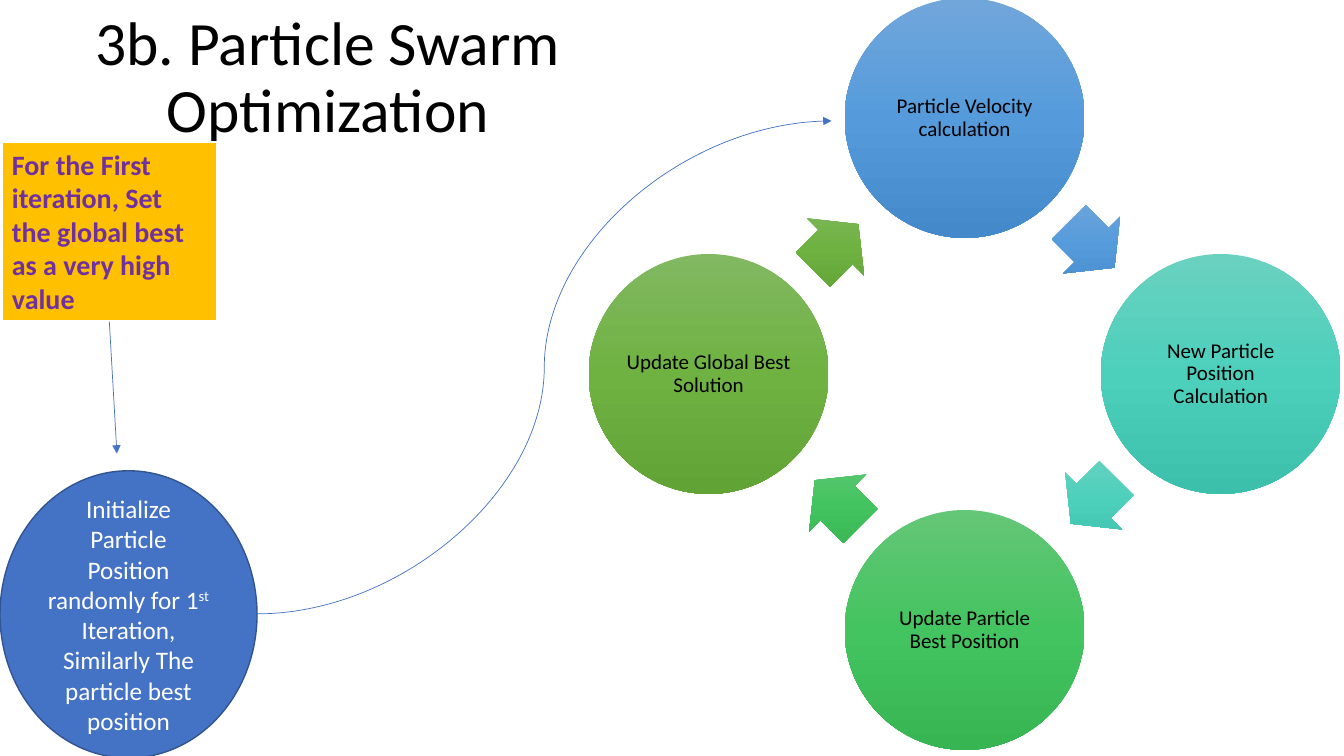
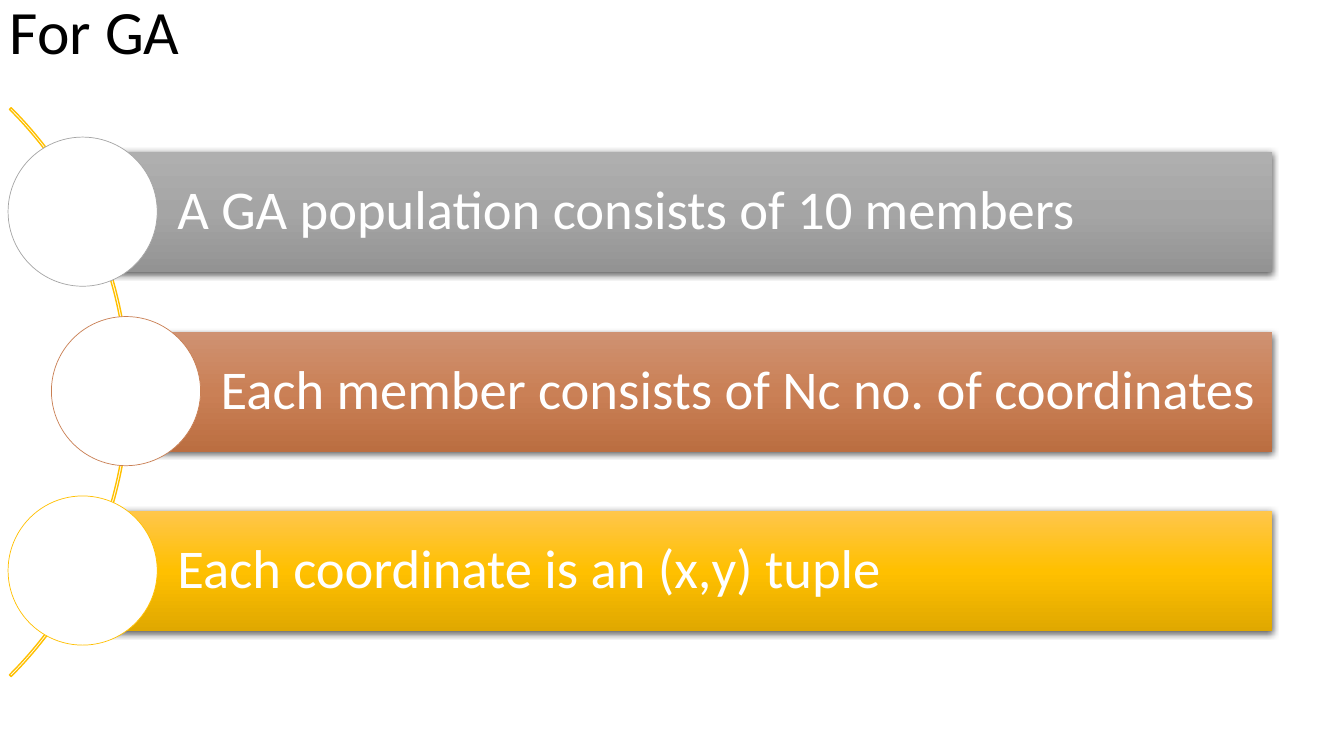
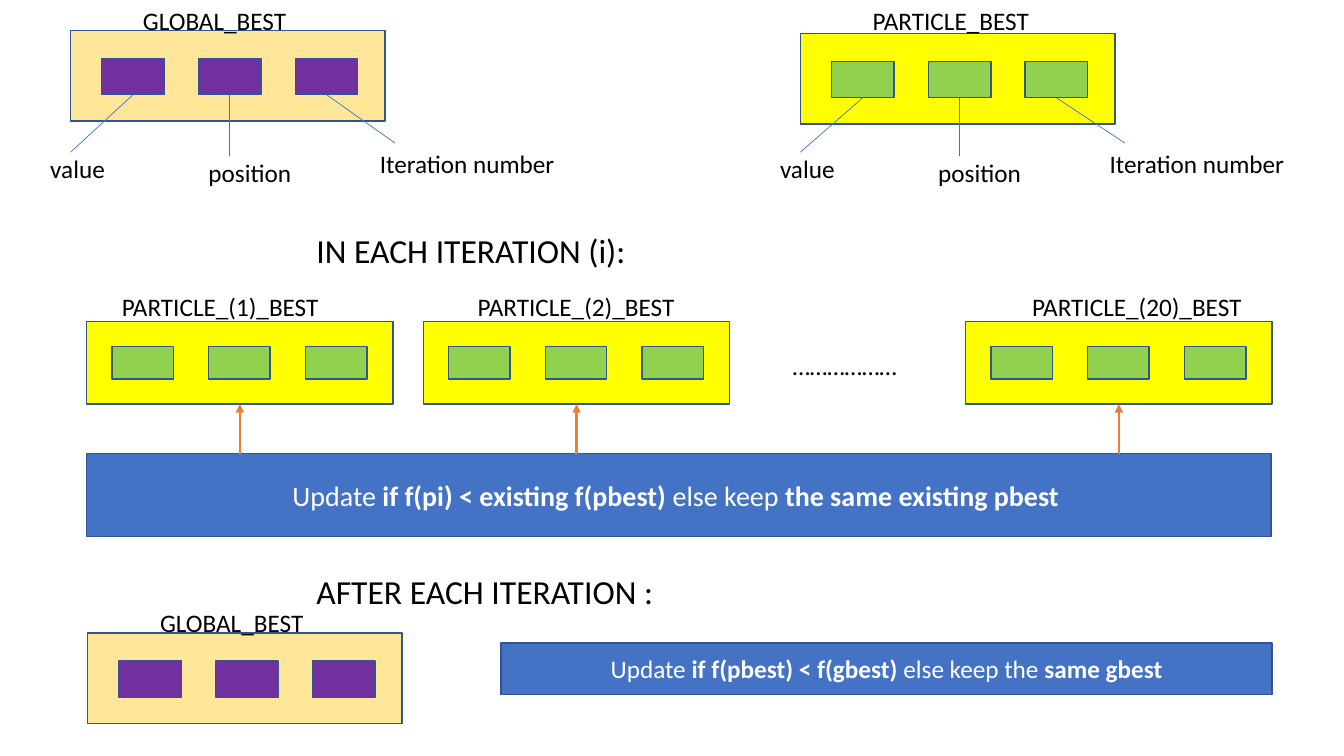
from copy import deepcopy

from pptx import Presentation
from pptx.dml.color import RGBColor
from pptx.enum.shapes import MSO_CONNECTOR, MSO_SHAPE
from pptx.enum.text import MSO_ANCHOR, PP_ALIGN
from pptx.oxml import parse_xml
from pptx.oxml.ns import nsdecls, qn
from pptx.util import Pt

# Shared look: 100 px to the inch
PX = 9144
FONT = "Calibri"
BLACK, WHITE = "000000", "FFFFFF"
BLUE, OUTLINE, ORANGE = "4472C4", "325491", "ED7D31"
YELLOW, GREEN, SAND, PURPLE, GOLD = "FFFF00", "92D050", "FFE699", "7030A0", "FFC000"
MIDDLE = {"vertical_anchor": MSO_ANCHOR.MIDDLE}
BOLD = {"bold": True}

color = RGBColor.from_string


def put(slide, kind, box, fill=None, line=None, width=1):
    """Add a shape, or a text box when kind is None; three fills make a gradient."""
    left, top, wide, high = [value * PX for value in box]
    if kind is None:
        shape = slide.shapes.add_textbox(left, top, wide, high)
        shape.text_frame.word_wrap = True
        return shape
    shape = slide.shapes.add_shape(kind, left, top, wide, high)
    shape.shadow.inherit = False
    if fill is None:
        shape.fill.background()
    elif isinstance(fill, str):
        shape.fill.solid()
        shape.fill.fore_color.rgb = color(fill)
    else:
        shape.fill.gradient()
        shape.fill.gradient_angle = 270
        gradient = shape.element.spPr.find(qn("a:gradFill"))
        gradient.set("rotWithShape", "0")
        stop_list = gradient.find(qn("a:gsLst"))
        stop_list.insert(1, deepcopy(stop_list[0]))
        for stop, hue, position in zip(shape.fill.gradient_stops, fill, (0, 0.5, 1)):
            stop.color.rgb = color(hue)
            stop.position = position
    if line:
        shape.line.color.rgb = color(line)
        shape.line.width = Pt(width)
    else:
        shape.line.fill.background()
    return shape


def write(shape, runs, size, hue=BLACK, align=PP_ALIGN.LEFT, spacing=1.0, frame=None):
    """Fill a shape with one paragraph; runs are (text, font values) pairs or a string."""
    for name, value in (frame or {}).items():
        setattr(shape.text_frame, name, value)
    paragraph = shape.text_frame.paragraphs[0]
    paragraph.alignment = align
    paragraph.line_spacing = spacing
    for text, values in [(runs, {})] if isinstance(runs, str) else runs:
        run = paragraph.add_run()
        run.text = text
        run.font.color.rgb = color(hue)
        for name, value in {"name": FONT, "size": Pt(size), **values}.items():
            setattr(run.font, name, value)
    return paragraph


deck = Presentation()
deck.slide_width, deck.slide_height = 12192000, 750 * PX
swarm, genetic, records = [deck.slides.add_slide(deck.slide_layouts[6]) for _ in range(3)]

# Connectors are collected here and drawn at the end:
# slide, kind, start, end, colour, width, arrowhead, start shape, end shape
links = []

# Titles
for slide, title, box, align in [
    (swarm, "3b. Particle Swarm Optimization", (2, 6, 647, 145), PP_ALIGN.CENTER),
    (genetic, "For GA", (0, -38, 1150, 145), PP_ALIGN.LEFT),
]:
    write(put(slide, None, box), title, 44, align=align, spacing=0.9, frame=MIDDLE)

# Slide 1: cycle of four steps, each a quarter turn after the last
center_x, center_y, diameter = 957, 371, 238
step_x, step_y = 0, -254
arrow_x, arrow_y = 126, -128
tight = {f"margin_{side}": 2 * PX for side in ("left", "right", "top", "bottom")}
steps = [
    ("Particle Velocity calculation", ("71A6DB", "559BDB", "448ACA")),
    ("New Particle Position Calculation", ("6AD1C0", "4CD0BC", "3CC0AC")),
    ("Update Particle Best Position", ("64C677", "44C460", "36B552")),
    ("Update Global Best Solution", ("81B861", "6FB242", "62A336")),
]
for turn, (step, shades) in enumerate(steps):
    circle = put(swarm, MSO_SHAPE.OVAL, (center_x + step_x - diameter // 2,
                 center_y + step_y - diameter // 2, diameter, diameter), shades)
    write(circle, step, 15, align=PP_ALIGN.CENTER, spacing=0.9, frame={**MIDDLE, **tight})
    arrow = put(swarm, MSO_SHAPE.RIGHT_ARROW,
                (center_x + arrow_x - 32, center_y + arrow_y - 40, 64, 80), shades)
    arrow.adjustments[0] = 0.6
    arrow.rotation = 45 + 90 * turn
    step_x, step_y = -step_y, step_x
    arrow_x, arrow_y = -arrow_y, arrow_x

# Slide 1: start of the search
first_best = put(swarm, MSO_SHAPE.RECTANGLE, (2, 141, 213, 178), GOLD, WHITE, 1.5)
write(first_best, [("For the First iteration, Set the global best as a very high value", BOLD)],
      20, PURPLE, frame={"vertical_anchor": MSO_ANCHOR.TOP})
initialize = put(swarm, MSO_SHAPE.OVAL, (0, 467, 255, 285), BLUE, OUTLINE)
sentence = write(initialize, [("Initialize Particle Position randomly for 1", {}), ("st", {}),
                 (" Iteration, Similarly The particle best position", {})],
                 18, WHITE, PP_ALIGN.CENTER, frame=MIDDLE)
sentence.runs[1].font._element.set("baseline", "30000")
links += [
    (swarm, MSO_CONNECTOR.STRAIGHT, (108, 319), (116, 450), BLUE, 0.5, True, first_best, None),
    (swarm, MSO_CONNECTOR.CURVE, (255, 609), (825, 120), BLUE, 0.5, True, None, None),
]

# Slide 2: arc with three facts
arc = put(genetic, MSO_SHAPE.BLOCK_ARC, (-670, -10, 798, 798), None, GOLD)
for index, value in enumerate((189, 27, 0.003)):
    arc.adjustments[index] = value
fact_margins = {"margin_left": 94 * PX, "margin_right": 11 * PX,
                "margin_top": 11 * PX, "margin_bottom": 11 * PX}
facts = [
    ("A GA population consists of 10 members", 82, ("AFAFAF", "A5A5A5", "939393"), "A5A5A5"),
    ("Each member consists of Nc no. of coordinates", 125,
     ("CF9272", "CA8056", "BB6E41"), "C97F53"),
    ("Each coordinate is an (x,y) tuple", 82, ("FFC64B", "FFC000", "E0A800"), GOLD),
]
for row, (fact, left, shades, ring) in enumerate(facts):
    top = 151 + 178 * row
    bar = put(genetic, MSO_SHAPE.RECTANGLE, (left, top, 1262 - left, 119), shades)
    bar.element.spPr.find(qn("a:effectLst")).append(parse_xml(
        f'<a:outerShdw {nsdecls("a")} blurRad="57150" dist="19050" dir="5400000" '
        'algn="ctr" rotWithShape="0"><a:srgbClr val="000000"><a:alpha val="63000"/>'
        '</a:srgbClr></a:outerShdw>'))
    write(bar, fact, 39, WHITE, spacing=0.9, frame={**MIDDLE, **fact_margins})
    put(genetic, MSO_SHAPE.OVAL, (left - 74, top - 15, 148, 148), WHITE, ring, 0.5)

# Slide 3: records of three cells
# panel width and height, cell width and height, first cell offset
LARGE = (312, 90, 62, 36, 31, 28)
SMALL = (304, 82, 61, 32, 25, 25)
panels = [
    # label, its left, top and width, panel left and top, sizes, colours, has legend
    ("GLOBAL_BEST", 132, 0, 167, 70, 30, LARGE, SAND, PURPLE, True),
    ("PARTICLE_BEST", 856, 0, 206, 794, 33, LARGE, YELLOW, GREEN, True),
    ("PARTICLE_(1)_BEST", 111, 284, 231, 86, 319, SMALL, YELLOW, GREEN, False),
    ("PARTICLE_(2)_BEST", 464, 284, 218, 420, 319, SMALL, YELLOW, GREEN, False),
    ("PARTICLE_(20)_BEST", 1014, 284, 235, 958, 319, SMALL, YELLOW, GREEN, False),
    ("GLOBAL_BEST", 149, 598, 167, 87, 628, LARGE, SAND, PURPLE, False),
]
# field, its left (from the panel), top and width, line end
legend = [
    ("value", -30, 147, 140, (0, 151)),
    ("position", 127, 151, 140, (158, 155)),
    ("Iteration number", 297, 142, 216, (322, 142)),
]
for (label, label_left, label_top, label_width, left, top, sizes,
     panel_fill, cell_fill, has_legend) in panels:
    wide, high, cell_wide, cell_high, offset_x, offset_y = sizes
    panel = put(records, MSO_SHAPE.RECTANGLE, (left, top, wide, high), panel_fill, OUTLINE)
    for column, (field, field_x, field_y, field_width, (end_x, end_y)) in enumerate(legend):
        cell = put(records, MSO_SHAPE.RECTANGLE, (left + offset_x + 96 * column, top + offset_y,
                   cell_wide, cell_high), cell_fill, OUTLINE)
        if has_legend:
            write(put(records, None, (left + field_x, field_y, field_width, 40)), field, 18)
            links.append((records, MSO_CONNECTOR.STRAIGHT, (left, top), (left + end_x, end_y),
                          BLUE, 0.5, False, cell, None))
    write(put(records, None, (label_left, label_top, label_width, 40)), label, 18)
    if sizes is SMALL:
        middle = left + wide // 2
        links.append((records, MSO_CONNECTOR.STRAIGHT, (middle, 450), (middle, top + high),
                      ORANGE, 1.5, True, None, panel))

# Slide 3: headings and update rules
for heading, top in [("IN EACH ITERATION (i):", 223), ("AFTER EACH ITERATION :", 561)]:
    write(put(records, None, (304, top, 460, 50)), heading, 24)
write(put(records, None, (734, 343, 208, 40)), "………………", 18, align=PP_ALIGN.CENTER)
rules = [
    ((86, 450, 1175, 82), 20, [("Update ", {}), ("if f(pi) < existing f(pbest) ", BOLD),
                               ("else keep ", {}), ("the same existing pbest ", BOLD)]),
    ((497, 638, 765, 51), 18, [("Update ", {}), ("if f(pbest) < f(gbest)", BOLD),
                               (" else keep the ", {}), ("same gbest", BOLD)]),
]
for box, size, runs in rules:
    rule = put(records, MSO_SHAPE.RECTANGLE, box, BLUE, OUTLINE)
    write(rule, runs, size, WHITE, PP_ALIGN.CENTER, frame=MIDDLE)

# Connectors, joined at the bottom side of their shapes
for slide, kind, start, end, hue, width, arrowhead, source, target in links:
    link = slide.shapes.add_connector(kind, *[value * PX for value in start + end])
    if source is not None:
        link.begin_connect(source, 2)
    if target is not None:
        link.end_connect(target, 2)
    link.line.color.rgb = color(hue)
    link.line.width = Pt(width)
    if arrowhead:
        link.line._get_or_add_ln().append(
            parse_xml(f'<a:tailEnd {nsdecls("a")} type="triangle"/>'))
    link.element.spPr.append(parse_xml(f'<a:effectLst {nsdecls("a")}/>'))

deck.save("out.pptx")
